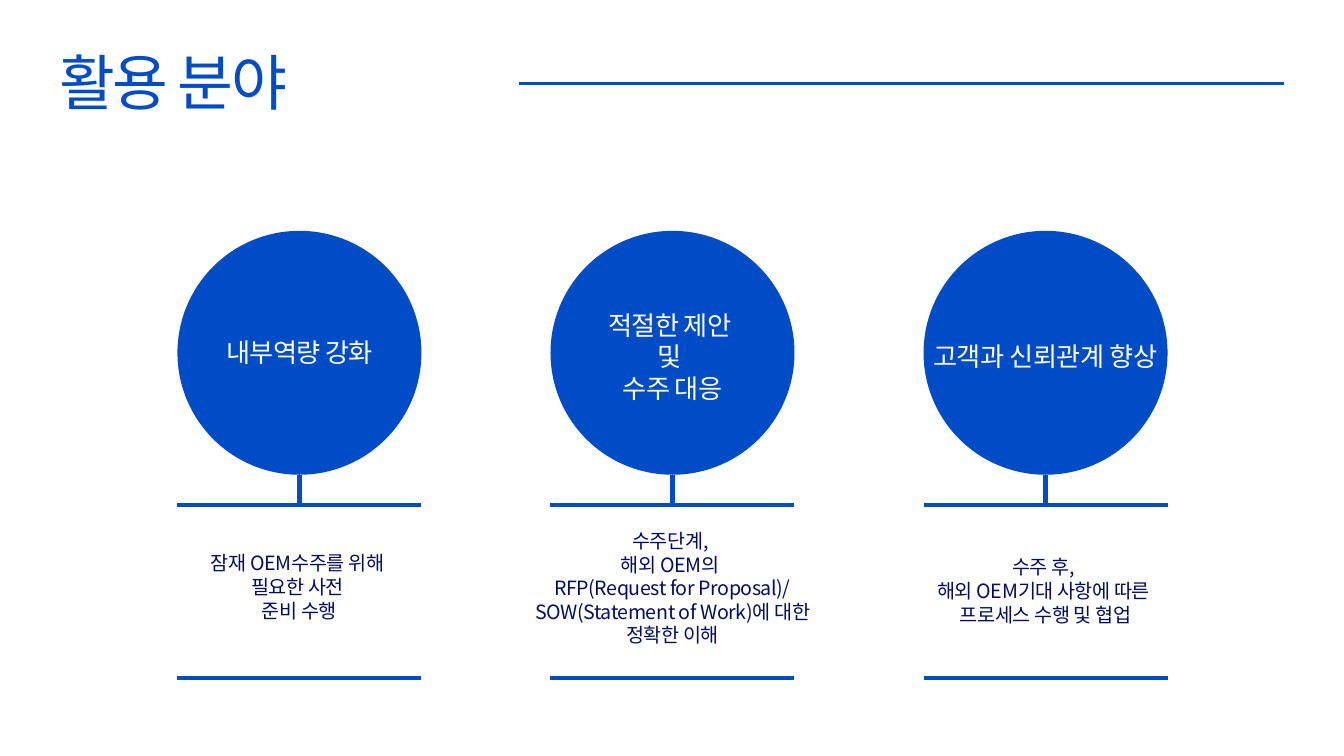
from dataclasses import dataclass

from lxml import etree
from pptx import Presentation
from pptx import util as u
from pptx.dml.color import RGBColor
from pptx.enum import shapes, text
from pptx.oxml.ns import qn


@dataclass(frozen=True)
class Theme:
    """Colours, fonts and type styles of the slide."""
    blue: str = "004CC7"
    navy: str = "000D64"
    white: str = "FFFFFF"
    sans: str = "Noto Sans CJK KR"
    alt: str = "Lato"
    rule: float = 2.25
    bar: float = 3

    def style(self, name):
        """Return size, leading, tracking, colour and alignment of a text style."""
        left, center = text.PP_ALIGN.LEFT, text.PP_ALIGN.CENTER
        return {
            "title": (43.3, 49.8, -170, self.blue, left),
            "label": (18.7, 22.4, -50, self.white, center),
            "body": (14, 16.8, -30, self.navy, center),
        }[name]


class Deck:
    """Holds the theme and the current slide, and adds elements to it."""

    def __init__(self, theme):
        """Start a widescreen presentation with one title-only slide."""
        self.theme = theme
        self.prs = Presentation()
        self.prs.slide_width, self.prs.slide_height = u.Inches(13.33), u.Inches(7.5)
        self.s = self.prs.slides.add_slide(self.prs.slide_layouts[5])

    def fill_text(self, sp, lines, style, font):
        """Fill a shape with styled paragraphs."""
        size, leading, tracking, color, align = self.theme.style(style)
        tf = sp.text_frame
        frame = dict(word_wrap=True, auto_size=text.MSO_AUTO_SIZE.NONE,
                     vertical_anchor=text.MSO_ANCHOR.TOP, margin_left=0,
                     margin_top=0, margin_right=0, margin_bottom=0)
        for key, value in frame.items():
            setattr(tf, key, value)
        for i, line in enumerate(lines):
            p = tf.paragraphs[0] if i == 0 else tf.add_paragraph()
            for key, value in dict(alignment=align, line_spacing=u.Pt(leading),
                                   space_before=u.Pt(0), space_after=u.Pt(0)).items():
                setattr(p, key, value)
            r = p.add_run()
            r.text = line
            for key, value in dict(size=u.Pt(size), name=font, bold=False).items():
                setattr(r.font, key, value)
            r.font.color.rgb = RGBColor.from_string(color)
            rPr = r._r.get_or_add_rPr()
            rPr.set("spc", str(tracking))
            ea = etree.Element(qn("a:ea"), typeface=font)
            rPr.find(qn("a:latin")).addnext(ea)

    def title(self, x, y, w, h, line):
        """Place and fill the title placeholder."""
        sp = self.s.shapes.title
        for key, value in dict(left=x, top=y, width=w, height=h).items():
            setattr(sp, key, u.Inches(value))
        self.fill_text(sp, [line], "title", self.theme.sans)

    def text(self, x, y, w, h, lines, style, font):
        """Add a text box."""
        sp = self.s.shapes.add_textbox(*map(u.Inches, (x, y, w, h)))
        self.fill_text(sp, lines, style, font)

    def circle(self, x, y, d):
        """Add a filled circle."""
        sp = self.s.shapes.add_shape(shapes.MSO_SHAPE.OVAL, *map(u.Inches, (x, y, d, d)))
        sp.shadow.inherit = False
        sp.fill.solid()
        sp.fill.fore_color.rgb = RGBColor.from_string(self.theme.blue)
        sp.line.fill.background()

    def line(self, x1, y1, x2, y2, width):
        """Add a straight line."""
        c = self.s.shapes.add_connector(shapes.MSO_CONNECTOR.STRAIGHT,
                                        *map(u.Inches, (x1, y1, x2, y2)))
        c.line.width = u.Pt(width)
        c.line.color.rgb = RGBColor.from_string(self.theme.blue)
        etree.SubElement(c._element.spPr, qn("a:effectLst"))


def main():
    """Build the slide and save it."""
    t = Theme()
    d = Deck(t)
    d.title(0.59, 0.48, 4.4, 0.7, "활용 분야")
    d.line(5.15, 0.83, 12.74, 0.83, t.rule)

    left, pitch, dia = 1.76, 3.7, 2.42
    circle_top, bar_top, bar_bottom = 2.29, 5.01, 6.73
    fields = [
        (["내부역량 강화"], 3.34, t.sans,
         ["잠재 OEM수주를 위해 ", "필요한 사전 ", "준비 수행"], 5.47, dia),
        (["적절한 제안 ", "및 ", "수주 대응"], 3.07, t.sans,
         ["수주단계, ", "해외 OEM의 ", "RFP(Request for Proposal)/",
          "SOW(Statement of Work)에 대한 정확한 이해"], 5.25, 2.9),
        (["고객과 신뢰관계 향상"], 3.38, t.alt,
         ["수주 후, ", "해외 OEM기대 사항에 따른 ", "프로세스 수행 및 협업"], 5.51, dia),
    ]
    for i, (label, label_y, font, body, body_y, body_w) in enumerate(fields):
        x = left + i * pitch
        mid = x + dia / 2
        d.circle(x, circle_top, dia)
        for y in (bar_top, bar_bottom):
            d.line(x, y, x + dia, y, t.bar)
        d.line(mid, bar_top, mid, circle_top + dia, t.bar)
        d.text(x, label_y, dia, 0.31 * len(label), label, "label", font)
        d.text(mid - body_w / 2, body_y, body_w, 0.23 * len(body), body, "body", t.sans)
    d.prs.save("out.pptx")


if __name__ == "__main__":
    main()
